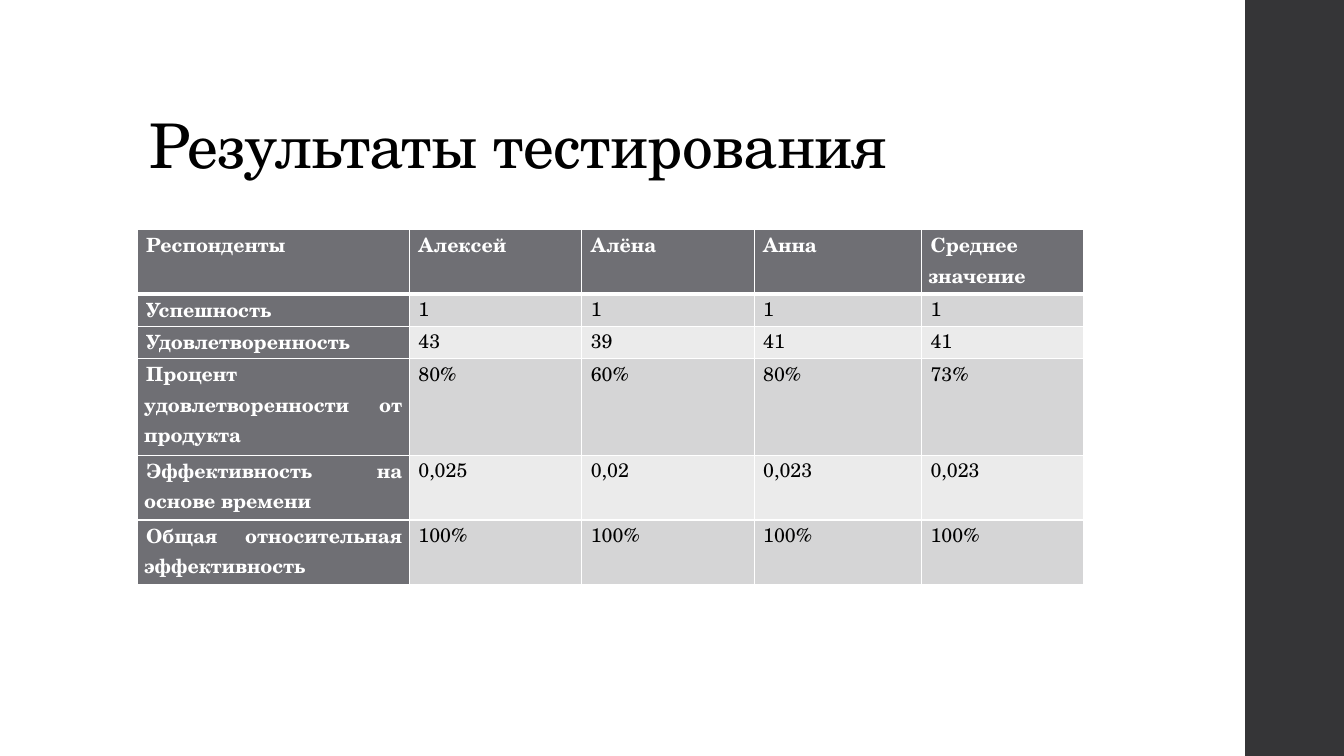
from dataclasses import dataclass

from lxml import etree
from pptx import Presentation
from pptx import util as u
from pptx.dml.color import RGBColor
from pptx.enum import shapes, text
from pptx.oxml.ns import qn


@dataclass(frozen=True)
class Theme:
    font: str = "TeX Gyre Schola"
    ink: str = "000000"
    paper: str = "FFFFFF"
    side_bar: str = "353537"
    header: str = "6F6F74"
    bands: tuple = ("D5D5D6", "EBEBEB")
    title_size: float = 44
    table_size: float = 14
    rule: float = 1
    header_rule: float = 3


class SlideBuilder:
    def __init__(self, prs, theme):
        self.theme = theme
        self.s = prs.slides.add_slide(prs.slide_layouts[5])

    def style(self, p, size, color, bold=False):
        for r in p.runs:
            r.font.name = self.theme.font
            r.font.size = u.Pt(size)
            r.font.bold = bold
            r.font.color.rgb = RGBColor.from_string(color)

    def title(self, words, left, top, width, height):
        sp = self.s.shapes.title
        sp.left, sp.top = u.Inches(left), u.Inches(top)
        sp.width, sp.height = u.Inches(width), u.Inches(height)
        tf = sp.text_frame
        tf.text = words
        tf.word_wrap = True
        tf.auto_size = text.MSO_AUTO_SIZE.NONE
        tf.vertical_anchor = text.MSO_ANCHOR.BOTTOM
        p = tf.paragraphs[0]
        p.alignment = text.PP_ALIGN.LEFT
        p.line_spacing = 0.9
        self.style(p, self.theme.title_size, self.theme.ink)
        for r in p.runs:
            r.font._element.set("spc", "-50")

    def bar(self, left, top, width, height):
        sp = self.s.shapes.add_shape(
            shapes.MSO_SHAPE.RECTANGLE,
            u.Inches(left), u.Inches(top), u.Inches(width), u.Inches(height))
        sp.shadow.inherit = False
        sp.fill.solid()
        sp.fill.fore_color.rgb = RGBColor.from_string(self.theme.side_bar)
        sp.line.fill.background()

    def borders(self, cell, top, bottom):
        tcPr = cell._tc.get_or_add_tcPr()
        widths = {"lnL": self.theme.rule, "lnR": self.theme.rule, "lnT": top, "lnB": bottom}
        for i, (side, width) in enumerate(widths.items()):
            ln = etree.Element(qn(f"a:{side}"), w=str(u.Pt(width)))
            fill = etree.SubElement(ln, qn("a:solidFill"))
            etree.SubElement(fill, qn("a:srgbClr"), val=self.theme.paper)
            tcPr.insert(i, ln)

    def cell(self, cell, words, fill, color, bold):
        cell.fill.solid()
        cell.fill.fore_color.rgb = RGBColor.from_string(fill)
        cell.margin_left = cell.margin_right = u.Inches(0.07)
        cell.margin_top = cell.margin_bottom = 0
        tf = cell.text_frame
        tf.text = words
        p = tf.paragraphs[0]
        p.alignment = text.PP_ALIGN.JUSTIFY
        pPr = p._p.get_or_add_pPr()
        pPr.set("marL", "0")
        pPr.set("indent", str(u.Inches(0.02)))
        self.style(p, self.theme.table_size, color, bold)

    def table(self, data, left, top, col_widths, row_heights):
        t = self.theme
        table = self.s.shapes.add_table(
            len(data), len(data[0]), u.Inches(left), u.Inches(top),
            u.Inches(sum(col_widths)), u.Inches(sum(row_heights))).table
        for column, width in zip(table.columns, col_widths):
            column.width = u.Inches(width)
        for row, height in zip(table.rows, row_heights):
            row.height = u.Inches(height)
        for i, values in enumerate(data):
            for j, words in enumerate(values):
                heading = i == 0 or j == 0
                fill = t.header if heading else t.bands[(i - 1) % 2]
                cell = table.cell(i, j)
                self.cell(cell, words, fill, t.paper if heading else t.ink, heading)
                self.borders(cell,
                             t.header_rule if i == 1 else t.rule,
                             t.header_rule if i == 0 else t.rule)


RESULTS = [
    ["Респонденты", "Алексей", "Алёна", "Анна", "Среднее значение"],
    ["Успешность", "1", "1", "1", "1"],
    ["Удовлетворенность", "43", "39", "41", "41"],
    ["Процент удовлетворенности от продукта", "80%", "60%", "80%", "73%"],
    ["Эффективность на основе времени", "0,025", "0,02", "0,023", "0,023"],
    ["Общая относительная эффективность", "100%", "100%", "100%", "100%"],
]


def main():
    prs = Presentation()
    prs.slide_width, prs.slide_height = u.Inches(13.33), u.Inches(7.5)
    slide = SlideBuilder(prs, Theme())
    slide.bar(12.35, 0, 0.98, 7.5)
    slide.title("Результаты тестирования", 1.38, 0.4, 10.6, 1.45)
    slide.table(RESULTS, 1.36, 2.28,
                col_widths=[2.7, 1.71, 1.71, 1.66, 1.61],
                row_heights=[0.64, 0.32, 0.32, 0.96, 0.64, 0.64])
    prs.save("out.pptx")


if __name__ == "__main__":
    main()
